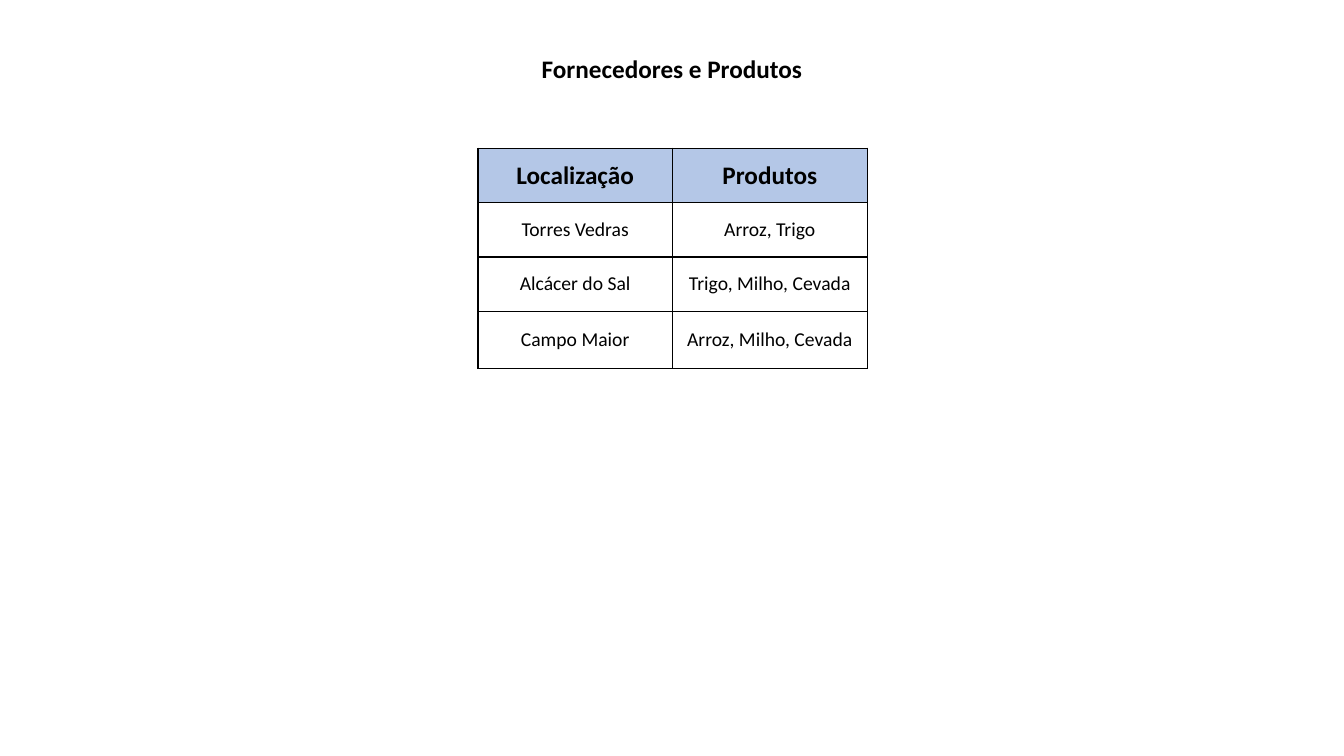
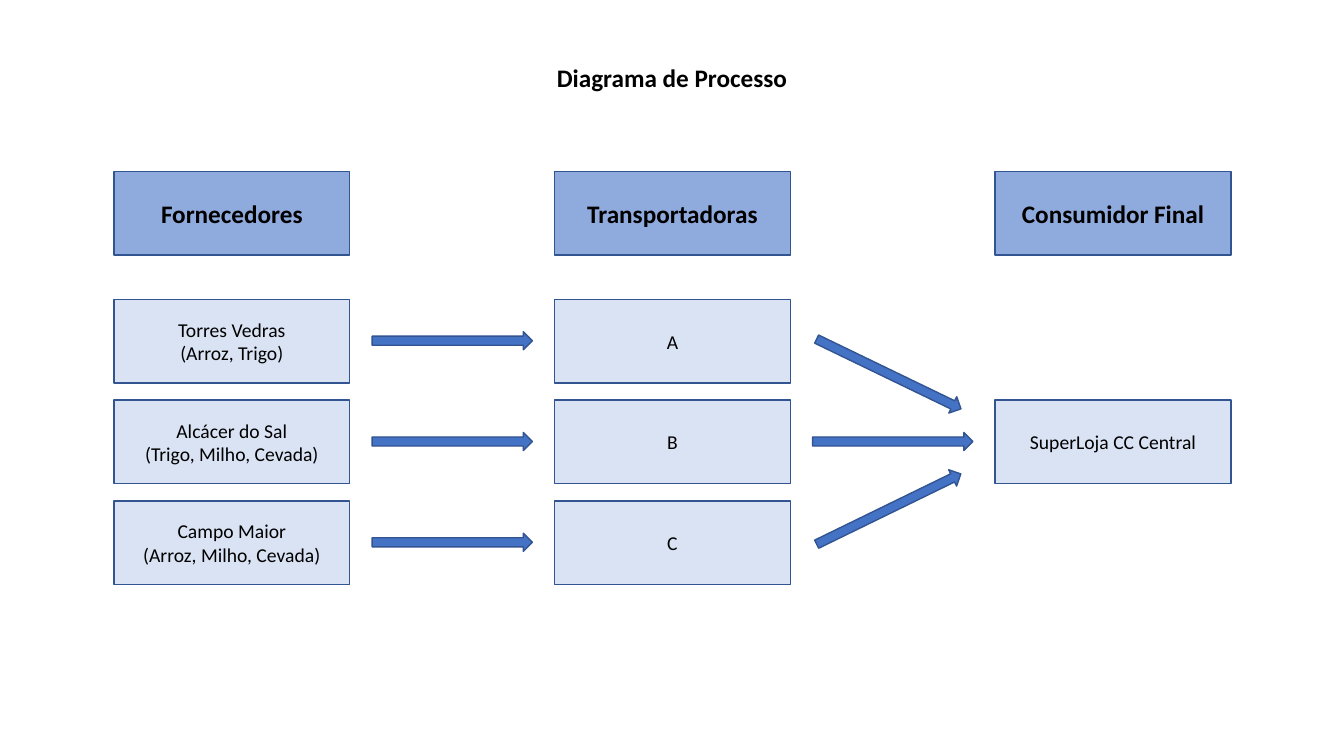
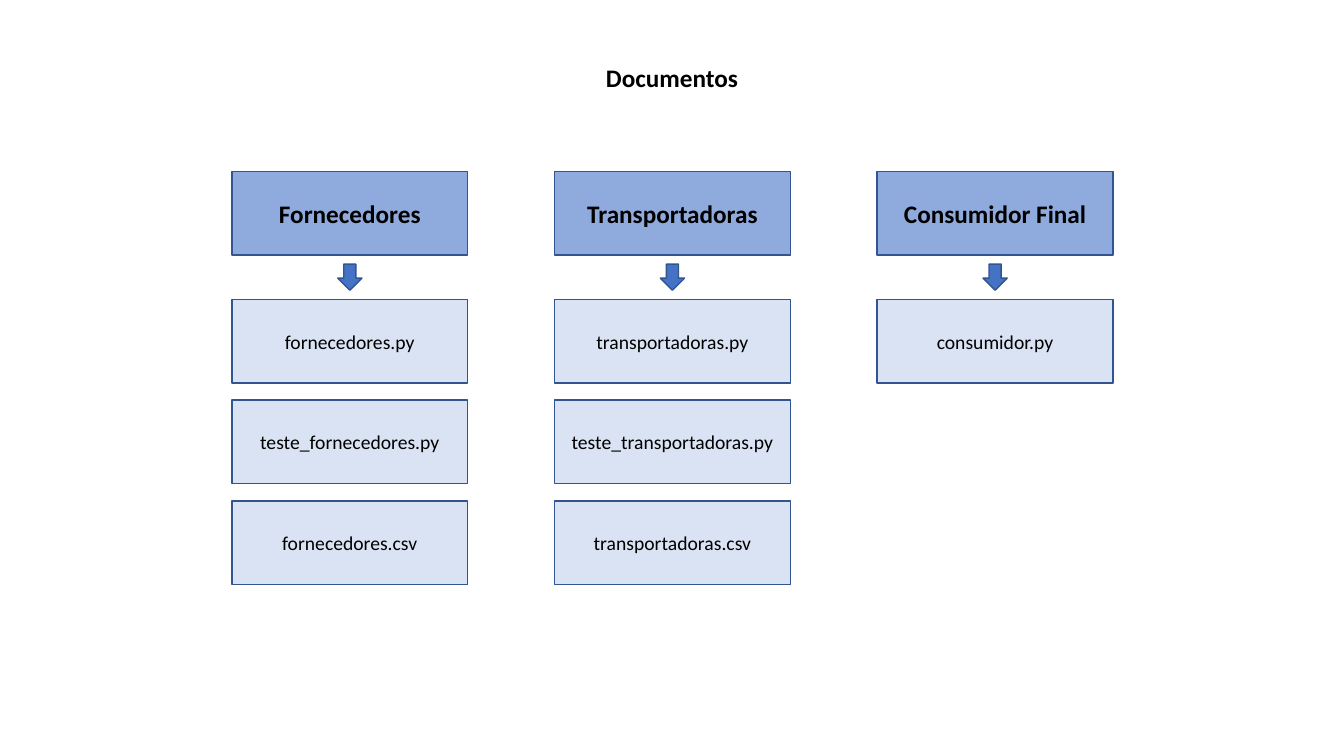
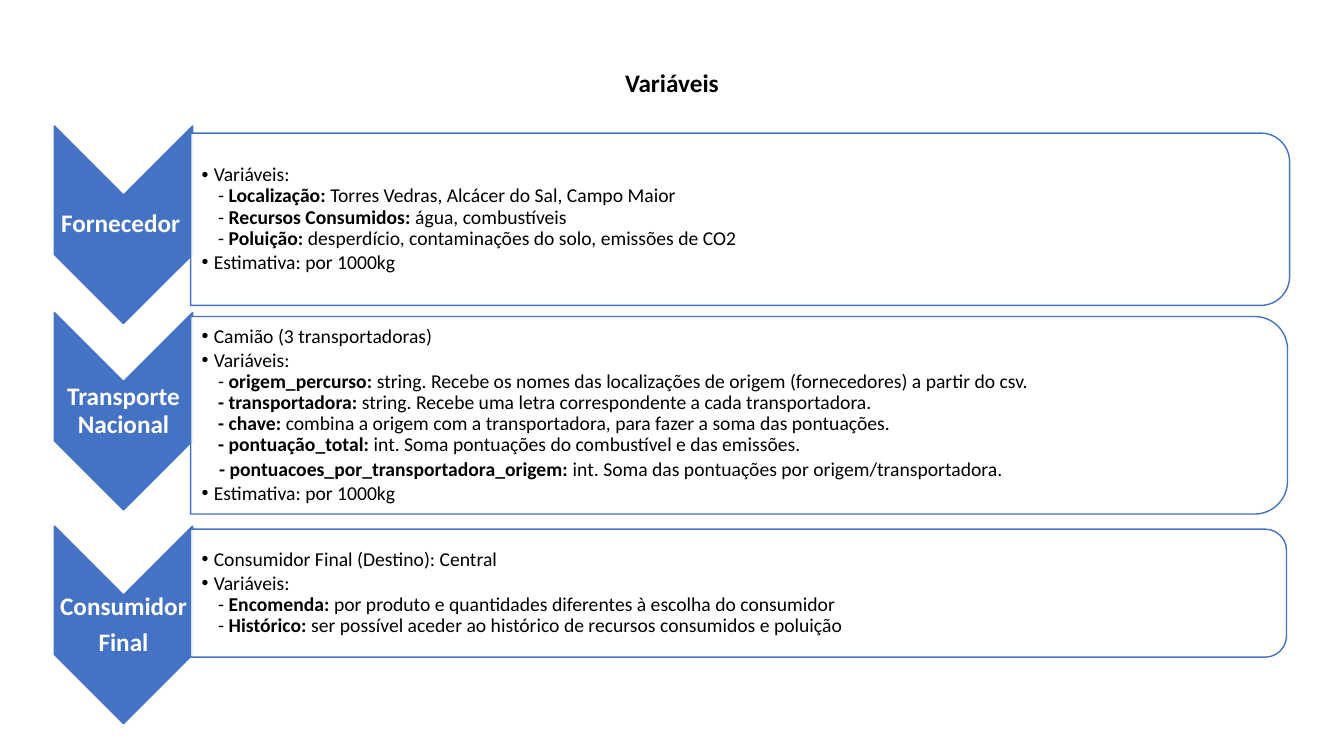
import pptx
import pptx.dml.color
import pptx.enum.shapes
import pptx.enum.text
import pptx.oxml.ns
import pptx.util
from lxml import etree

Inches = pptx.util.Inches
Pt = pptx.util.Pt
Shape = pptx.enum.shapes.MSO_SHAPE
Align = pptx.enum.text.PP_ALIGN
Anchor = pptx.enum.text.MSO_ANCHOR
qn = pptx.oxml.ns.qn

FONT = "Calibri"
BLACK = "000000"
WHITE = "FFFFFF"
BLUE = "4472C4"
OUTLINE = "325491"
HEADER_FILL = "8FAADC"
BOX_FILL = "DAE3F3"
TABLE_HEADER_FILL = "B4C7E7"

HEADING_SIZE = 18
TEXT_SIZE = 14

BOX_WIDTH = 2.34
BOX_HEIGHT = 0.83
HEADER_TOP = 1.7
ROW_TOPS = [2.97, 3.97, 4.97]
MIDDLE_COLUMN = 5.5

TITLE_ONLY = 5
COMPARISON = 4
STAGE_HEADINGS = ["Fornecedores", "Transportadoras", "Consumidor Final"]


def rgb(value):
    return pptx.dml.color.RGBColor.from_string(value)


def set_bullet(paragraph, character, indent):
    """Give a paragraph a hanging indent and a bullet, or none if character is empty."""
    properties = paragraph._p.get_or_add_pPr()
    properties.set("marL", str(Inches(indent)))
    properties.set("indent", str(Inches(-0.12)))
    if character:
        etree.SubElement(properties, qn("a:buChar")).set("char", character)
    else:
        etree.SubElement(properties, qn("a:buNone"))


def set_borders(cell, color, width):
    properties = cell._tc.get_or_add_tcPr()
    for side in ("a:lnL", "a:lnR", "a:lnT", "a:lnB"):
        line = etree.SubElement(properties, qn(side), w=str(Pt(width)))
        fill = etree.SubElement(line, qn("a:solidFill"))
        etree.SubElement(fill, qn("a:srgbClr"), val=color)


def set_opacity(shape, percent):
    color = shape.fill._xPr.find(qn("a:solidFill"))[0]
    etree.SubElement(color, qn("a:alpha"), val=str(percent * 1000))


def write(frame, paragraphs, size=TEXT_SIZE, color=BLACK, bold=False, align=Align.CENTER,
          line_spacing=None, space_after=0, bulleted=False):
    """Fill a text frame; ** switches bold, a newline breaks the line, and in
    bulleted text a paragraph that starts with a space is indented unmarked."""
    for index, text in enumerate(paragraphs):
        paragraph = frame.add_paragraph() if index else frame.paragraphs[0]
        paragraph.alignment = align
        paragraph.space_before = Pt(0)
        paragraph.space_after = Pt(space_after)
        if line_spacing:
            paragraph.line_spacing = line_spacing
        if bulleted:
            unmarked = text.startswith(" ")
            set_bullet(paragraph, "" if unmarked else "•", 0.25 if unmarked else 0.12)
        for part, piece in enumerate(text.split("**")):
            for number, words in enumerate(piece.split("\n")):
                if number:
                    paragraph.add_line_break()
                if not words:
                    continue
                run = paragraph.add_run()
                run.text = words
                run.font.name = FONT
                run.font.size = Pt(size)
                run.font.color.rgb = rgb(color)
                run.font.bold = bold or part % 2 == 1


class Deck:
    """Holds the presentation, its style and the slide being built."""

    def __init__(self):
        self.presentation = pptx.Presentation()
        self.presentation.slide_width = Inches(13.33)
        self.presentation.slide_height = Inches(7.5)
        self.slide = None

    def start_slide(self, title, title_top, layout=TITLE_ONLY):
        layouts = self.presentation.slide_layouts
        self.slide = self.presentation.slides.add_slide(layouts[layout])
        shape = self.slide.shapes.title
        self.place(shape, 2.15, title_top, 9.03, 0.4)
        self.prepare_frame(shape, Anchor.TOP)
        write(shape.text_frame, [title], size=HEADING_SIZE, bold=True)

    def place(self, shape, left, top, width, height):
        shape.left, shape.top = Inches(left), Inches(top)
        shape.width, shape.height = Inches(width), Inches(height)

    def prepare_frame(self, shape, anchor=Anchor.MIDDLE, margins=None):
        frame = shape.text_frame
        frame.word_wrap = True
        frame.auto_size = pptx.enum.text.MSO_AUTO_SIZE.NONE
        frame.vertical_anchor = anchor
        if margins:
            (frame.margin_left, frame.margin_top,
             frame.margin_right, frame.margin_bottom) = map(Inches, margins)

    def shape(self, kind, left, top, width, height, fill=BLUE, line=OUTLINE, rotation=0):
        shape = self.slide.shapes.add_shape(
            kind, Inches(left), Inches(top), Inches(width), Inches(height))
        shape.shadow.inherit = False
        shape.fill.solid()
        shape.fill.fore_color.rgb = rgb(fill)
        shape.line.color.rgb = rgb(line)
        shape.line.width = Pt(1)
        shape.rotation = rotation
        return shape

    def upright_shape(self, kind, left, top, width, height, **style):
        """Add a shape turned by 90 degrees that covers the given area."""
        shift = (width - height) / 2
        return self.shape(kind, left + shift, top - shift, height, width,
                          rotation=90, **style)

    def box(self, left, top, text, header=False):
        fill = HEADER_FILL if header else BOX_FILL
        shape = self.shape(Shape.RECTANGLE, left, top, BOX_WIDTH, BOX_HEIGHT, fill)
        self.prepare_frame(shape)
        size = HEADING_SIZE if header else TEXT_SIZE
        write(shape.text_frame, [text], size=size, bold=header)

    def column(self, left, heading, texts, tops=ROW_TOPS):
        self.box(left, HEADER_TOP, heading, header=True)
        for top, text in zip(tops, texts):
            self.box(left, top, text)

    def right_arrow(self, left, top, rotation=0):
        self.shape(Shape.RIGHT_ARROW, left, top, 1.59, 0.18, rotation=rotation)

    def table(self, left, top, column_width, row_heights, rows):
        table = self.slide.shapes.add_table(
            len(rows), len(rows[0]), Inches(left), Inches(top),
            Inches(column_width * len(rows[0])), Inches(sum(row_heights))).table
        for column in table.columns:
            column.width = Inches(column_width)
        for row_index, texts in enumerate(rows):
            header = row_index == 0
            table.rows[row_index].height = Inches(row_heights[row_index])
            for column_index, text in enumerate(texts):
                cell = table.cell(row_index, column_index)
                cell.vertical_anchor = Anchor.MIDDLE
                set_borders(cell, BLACK, 1)
                if header:
                    cell.fill.solid()
                    cell.fill.fore_color.rgb = rgb(TABLE_HEADER_FILL)
                else:
                    cell.fill.background()
                size = HEADING_SIZE if header else TEXT_SIZE
                write(cell.text_frame, [text], size=size, bold=header)

    def chevron(self, top, label):
        left, width, height = 0.54, 1.37, 1.96
        self.upright_shape(Shape.CHEVRON, left, top, width, height, line=BLUE)
        label_top = top + (height - 0.59) / 2
        text_box = self.slide.shapes.add_textbox(
            Inches(left), Inches(label_top), Inches(width), Inches(0.59))
        self.prepare_frame(text_box, margins=[0.01] * 4)
        write(text_box.text_frame, label, size=HEADING_SIZE, color=WHITE, bold=True,
              line_spacing=0.9, space_after=6.3)

    def list_card(self, placeholder, top, width, height, items):
        left, inset = 1.89, 0.08
        card = self.upright_shape(Shape.ROUND_2_SAME_RECTANGLE, left, top, width, height,
                                  fill=WHITE, line=BLUE)
        set_opacity(card, 90)
        self.place(placeholder, left, top + inset, width - inset, height - 2 * inset)
        self.prepare_frame(placeholder, margins=[0.11, 0.01, 0.01, 0.01])
        write(placeholder.text_frame, items, align=Align.LEFT, line_spacing=0.9,
              space_after=2.1, bulleted=True)
        card.element.addnext(placeholder.element)


def suppliers_slide(deck):
    deck.start_slide("Fornecedores e Produtos", 0.48)
    deck.table(4.74, 1.47, 1.93, [0.54, 0.54, 0.54, 0.57], [
        ["Localização", "Produtos"],
        ["Torres Vedras", "Arroz, Trigo"],
        ["Alcácer do Sal", "Trigo, Milho, Cevada"],
        ["Campo Maior", "Arroz, Milho, Cevada"],
    ])


def process_slide(deck):
    deck.start_slide("Diagrama de Processo", 0.57)
    pitch = 4.37
    lefts = [MIDDLE_COLUMN + step * pitch for step in (-1, 0, 1)]
    suppliers = ["Torres Vedras\n(Arroz, Trigo)",
                 "Alcácer do Sal\n(Trigo, Milho, Cevada)",
                 "Campo Maior\n(Arroz, Milho, Cevada)"]
    deck.column(lefts[0], STAGE_HEADINGS[0], suppliers)
    deck.column(lefts[1], STAGE_HEADINGS[1], "ABC")
    deck.column(lefts[2], STAGE_HEADINGS[2], ["SuperLoja CC Central"], ROW_TOPS[1:2])

    arrow_offset = 0.32
    for top in ROW_TOPS:
        deck.right_arrow(3.69, top + arrow_offset)
    deck.right_arrow(8.06, ROW_TOPS[1] + arrow_offset)
    for top, rotation in [(3.62, 25.8), (4.96, 334)]:
        deck.right_arrow(8.02, top, rotation)


def documents_slide(deck):
    deck.start_slide("Documentos", 0.57)
    pitch = 3.2
    arrow_width = 0.24
    files = [
        ["fornecedores.py", "teste_fornecedores.py", "fornecedores.csv"],
        ["transportadoras.py", "teste_transportadoras.py", "transportadoras.csv"],
        ["consumidor.py"],
    ]
    for index, (heading, names) in enumerate(zip(STAGE_HEADINGS, files)):
        left = MIDDLE_COLUMN + (index - 1) * pitch
        deck.column(left, heading, names)
        deck.shape(Shape.DOWN_ARROW, left + (BOX_WIDTH - arrow_width) / 2, 2.62,
                   arrow_width, 0.26)


def variables_slide(deck):
    deck.start_slide("Variáveis", 0.62, layout=COMPARISON)
    title, *bodies = deck.slide.placeholders
    stages = [
        (1.25, ["Fornecedor "], 1.32, 10.9, 1.71, [
            "Variáveis:"
            "\n - **Localização: **Torres Vedras, Alcácer do Sal, Campo Maior"
            "\n - **Recursos Consumidos: **água, combustíveis"
            "\n - **Poluição:** desperdício, contaminações do solo, emissões de CO2",
            "Estimativa: por 1000kg",
        ]),
        (3.1, ["Transporte Nacional"], 3.14, 10.88, 1.96, [
            "Camião (3 transportadoras)",
            "Variáveis:"
            "\n - **origem_percurso: **string. Recebe os nomes das localizações de origem "
            "(fornecedores) a partir do csv."
            "\n **- transportadora: **string. Recebe uma letra correspondente a cada "
            "transportadora."
            "\n **- chave: **combina a origem com a transportadora, para fazer a soma das "
            "pontuações."
            "\n **- pontuação_total: **int. Soma pontuações do combustível e das emissões.",
            " **- pontuacoes_por_transportadora_origem: **int. Soma das pontuações por "
            "origem/transportadora.",
            "Estimativa: por 1000kg",
        ]),
        (5.22, ["Consumidor", "Final"], 5.25, 10.87, 1.27, [
            "Consumidor Final (Destino): Central",
            "Variáveis:"
            "\n - **Encomenda: **por produto e quantidades diferentes à escolha do consumidor"
            "\n - **Histórico: **ser possível aceder ao histórico de recursos consumidos e "
            "poluição",
        ]),
    ]
    for body, (chevron_top, label, top, width, height, items) in zip(bodies, stages):
        deck.chevron(chevron_top, label)
        deck.list_card(body, top, width, height, items)
    for unused in bodies[len(stages):]:
        unused.element.getparent().remove(unused.element)


def main():
    deck = Deck()
    suppliers_slide(deck)
    process_slide(deck)
    documents_slide(deck)
    variables_slide(deck)
    deck.presentation.save("out.pptx")


if __name__ == "__main__":
    main()
